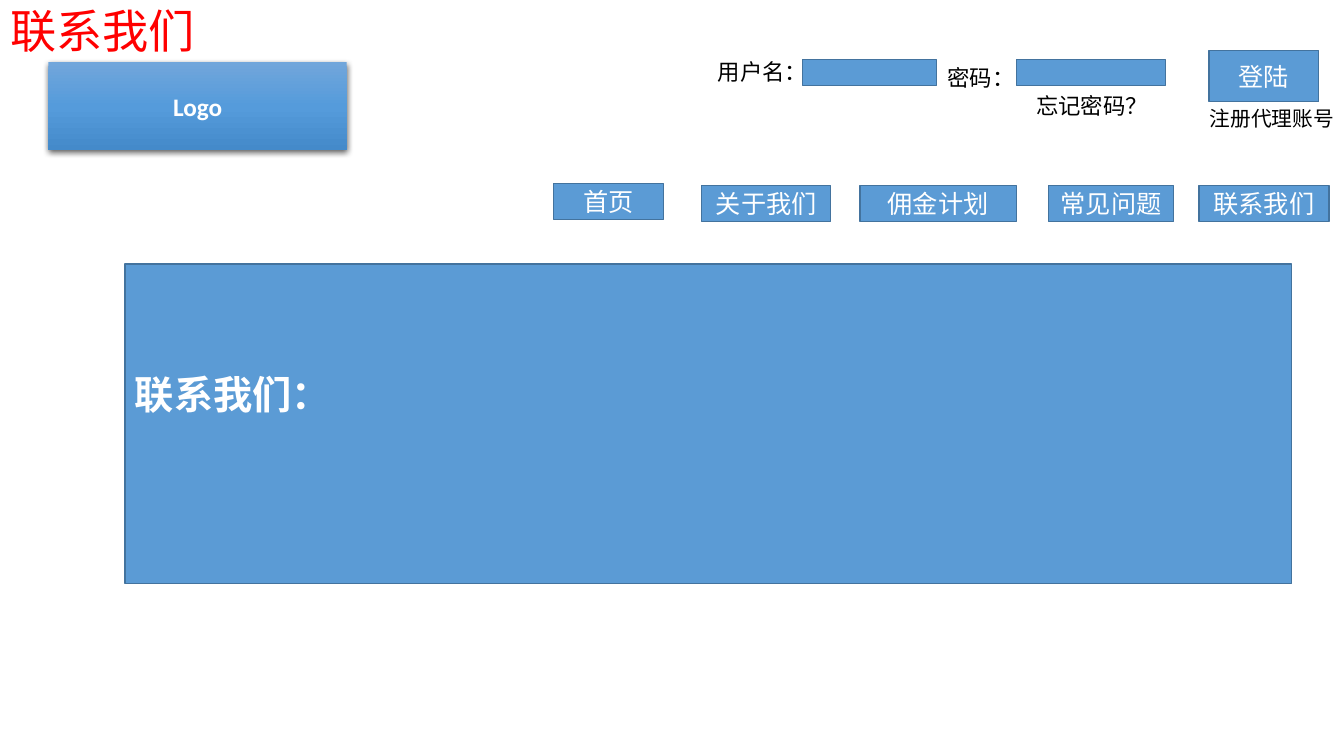
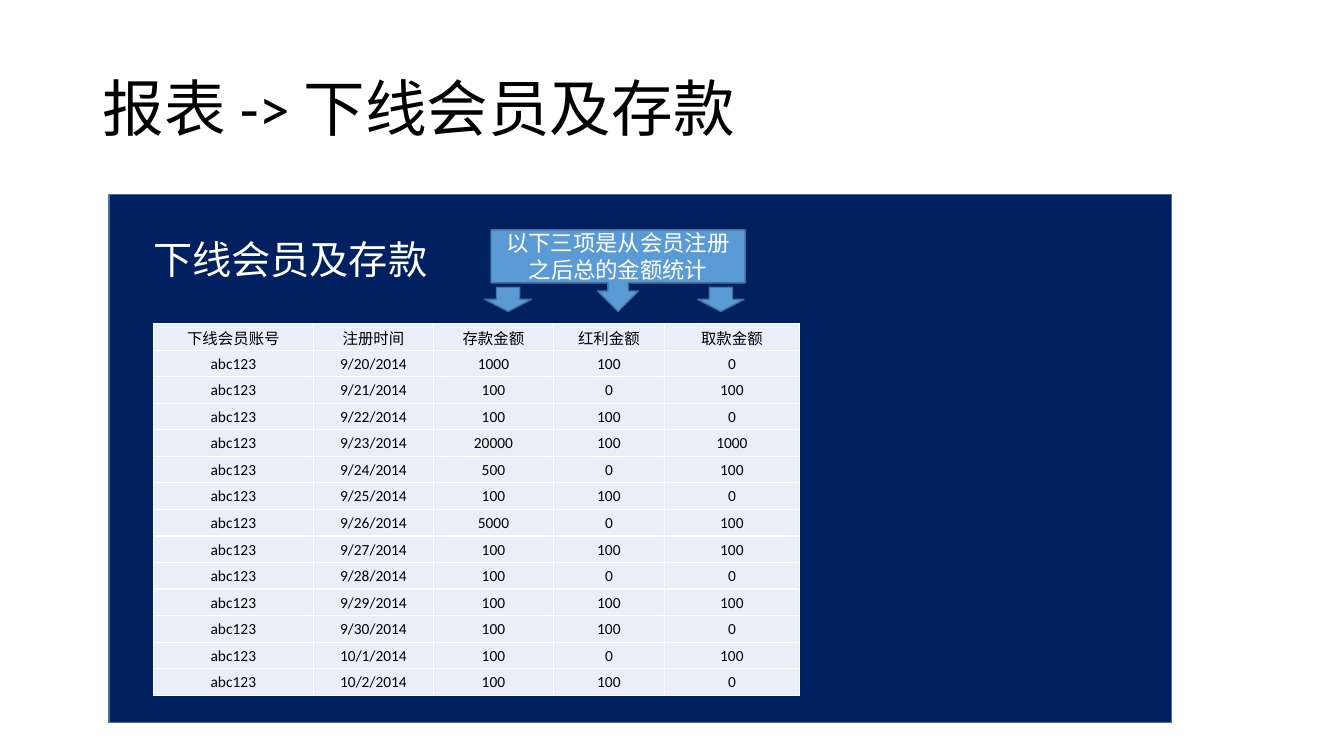
from copy import deepcopy
from pptx import Presentation
from pptx.dml.color import RGBColor
from pptx.enum.shapes import MSO_SHAPE as Preset
from pptx.enum.text import MSO_ANCHOR as Anchor, MSO_AUTO_SIZE as AutoSize, PP_ALIGN as Align
from pptx.oxml import parse_xml
from pptx.oxml.ns import nsdecls, qn
from pptx.util import Inches, Pt

BLUE = RGBColor(0x5B, 0x9B, 0xD5)
EDGE = RGBColor(0x43, 0x73, 0x9E)
NAVY = RGBColor(0x00, 0x20, 0x60)
PALE = RGBColor(0xEA, 0xEF, 0xF7)
RED = RGBColor(0xFF, 0x00, 0x00)
BLACK = RGBColor(0x00, 0x00, 0x00)
WHITE = RGBColor(0xFF, 0xFF, 0xFF)
GRADIENT = [(0, RGBColor(0x71, 0xA6, 0xDB)), (0.5, RGBColor(0x55, 0x9B, 0xDB)),
            (1, RGBColor(0x44, 0x8A, 0xCA))]
FONT = "Calibri"

LABELS = [
    ("用户名：", (7.02, 0.56, 1.02, 0.51), 16),
    ("密码：", (9.3, 0.62, 1.47, 0.51), 16),
    ("忘记密码？", (10.18, 0.89, 1.47, 0.51), 16),
    ("注册代理账号", (11.9, 1.03, 1.47, 0.51), 14.8),
]
FIELDS = [(7.96, 0.59, 1.33, 0.26), (10.08, 0.59, 1.48, 0.26)]
BUTTONS = [
    ("登陆", (11.99, 0.5, 1.09, 0.51)),
    ("首页", (5.49, 1.82, 1.09, 0.36)),
    ("关于我们", (6.96, 1.84, 1.28, 0.36)),
    ("佣金计划", (8.53, 1.84, 1.55, 0.36)),
    ("常见问题", (10.4, 1.84, 1.24, 0.36)),
    ("联系我们", (11.89, 1.84, 1.29, 0.36)),
]
HEADER = ("下线会员账号", "注册时间", "存款金额", "红利金额", "取款金额")
MEMBER = "abc123"
RECORDS = [
    ("9/20/2014", 1000, 100, 0),
    ("9/21/2014", 100, 0, 100),
    ("9/22/2014", 100, 100, 0),
    ("9/23/2014", 20000, 100, 1000),
    ("9/24/2014", 500, 0, 100),
    ("9/25/2014", 100, 100, 0),
    ("9/26/2014", 5000, 0, 100),
    ("9/27/2014", 100, 100, 100),
    ("9/28/2014", 100, 0, 0),
    ("9/29/2014", 100, 100, 100),
    ("9/30/2014", 100, 100, 0),
    ("10/1/2014", 100, 0, 100),
    ("10/2/2014", 100, 100, 0),
]
TABLE_BOX = (1.52, 3.21, 6.4, 3.69)
COLUMNS = (1.59, 1.19, 1.19, 1.1, 1.34)
ARROWS = [(4.81, 2.85, 0.46, 0.24), (6.92, 2.85, 0.46, 0.24)]


def assign(target, values):
    for name, value in values.items():
        setattr(target, name, value)


def place(box):
    return [Inches(length) for length in box]


def write(frame, text, size, color, bold=False, align=Align.LEFT, spacing=None, **layout):
    assign(frame, {"word_wrap": True, **layout})
    para = frame.paragraphs[0]
    assign(para, {"alignment": align, "line_spacing": spacing})
    span = para.add_run()
    span.text = text
    assign(span.font, {"name": FONT, "size": Pt(size), "bold": bold})
    span.font.color.rgb = color


def add_titled_page(text, box, size, color, spacing, anchor):
    page = deck.slides.add_slide(deck.slide_layouts[5])
    title = page.shapes.title
    assign(title, dict(zip(("left", "top", "width", "height"), place(box))))
    write(title.text_frame, text, size, color, spacing=spacing,
          vertical_anchor=anchor, auto_size=AutoSize.NONE)
    return page


def add_block(page, box, preset=Preset.RECTANGLE, fill=BLUE):
    block = page.shapes.add_shape(preset, *place(box))
    block.shadow.inherit = False
    block.fill.solid()
    block.fill.fore_color.rgb = fill
    block.line.color.rgb = EDGE
    block.line.width = Pt(1)
    return block


def add_logo(page, box):
    logo = add_block(page, box)
    logo.line.fill.background()
    logo.fill.gradient()
    logo.fill.gradient_angle = 270
    properties = logo.element.spPr
    stops = properties.find(".//" + qn("a:gsLst"))
    stops.append(deepcopy(stops[-1]))
    for stop, (position, color) in zip(logo.fill.gradient_stops, GRADIENT):
        stop.position = position
        stop.color.rgb = color
    properties.find(qn("a:effectLst")).append(parse_xml(
        f'<a:outerShdw {nsdecls("a")} blurRad="57150" dist="19050" dir="5400000" '
        'algn="ctr" rotWithShape="0"><a:srgbClr val="000000">'
        '<a:alpha val="63000"/></a:srgbClr></a:outerShdw>'))
    write(logo.text_frame, "Logo", 18, WHITE, True, Align.CENTER)


def add_report(page):
    rows = [HEADER] + [(MEMBER, *record) for record in RECORDS]
    table = page.shapes.add_table(len(rows), len(HEADER), *place(TABLE_BOX)).table
    assign(table, {"first_row": False, "horz_banding": False})
    for column, width in zip(table.columns, COLUMNS):
        column.width = Inches(width)
    for row, values in zip(table.rows, rows):
        row.height = Inches(TABLE_BOX[3] / len(rows))
        for cell, value in zip(row.cells, values):
            assign(cell, {"margin_left": Inches(0.01), "margin_right": Inches(0.01),
                          "margin_top": Inches(0.01), "margin_bottom": 0,
                          "vertical_anchor": Anchor.MIDDLE})
            for side in "LRTB":
                cell._tc.get_or_add_tcPr().append(parse_xml(
                    f'<a:ln{side} {nsdecls("a")} w="12700"><a:solidFill>'
                    f'<a:srgbClr val="{WHITE}"/></a:solidFill></a:ln{side}>'))
            cell.fill.solid()
            cell.fill.fore_color.rgb = PALE
            write(cell.text_frame, str(value), 11, BLACK, align=Align.CENTER)


deck = Presentation()
assign(deck, {"slide_width": Inches(13.33), "slide_height": Inches(7.5)})

contact = add_titled_page("联系我们", (0, 0.12, 2.43, 0.5), 33, RED, 0.7, Anchor.TOP)
add_logo(contact, (0.48, 0.62, 2.96, 0.87))
for text, box, size in LABELS:
    label = contact.shapes.add_textbox(*place(box))
    write(label.text_frame, text, size, BLACK, spacing=0.9, margin_right=0)
for box in FIELDS:
    add_block(contact, box)
for text, box in BUTTONS:
    write(add_block(contact, box).text_frame, text, 18, WHITE, align=Align.CENTER)
banner = add_block(contact, (1.24, 2.62, 11.57, 3.17))
write(banner.text_frame, "联系我们：", 28, WHITE, True, margin_bottom=Inches(0.65))

report = add_titled_page("报表 -> 下线会员及存款", (0.92, 0.38, 11.5, 1.45), 44, BLACK, 0.9, Anchor.MIDDLE)
panel = add_block(report, (1.08, 1.93, 10.54, 5.24), fill=NAVY)
write(panel.text_frame, "下线会员及存款", 28, WHITE, vertical_anchor=Anchor.TOP,
      margin_left=Inches(0.44), margin_top=Inches(0.4))
add_report(report)
callout = add_block(report, (4.87, 2.28, 2.52, 0.81), Preset.DOWN_ARROW_CALLOUT)
write(callout.text_frame, "以下三项是从会员注册之后总的金额统计", 16, WHITE, align=Align.CENTER)
for box in ARROWS:
    add_block(report, box, Preset.DOWN_ARROW)

deck.save("out.pptx")
